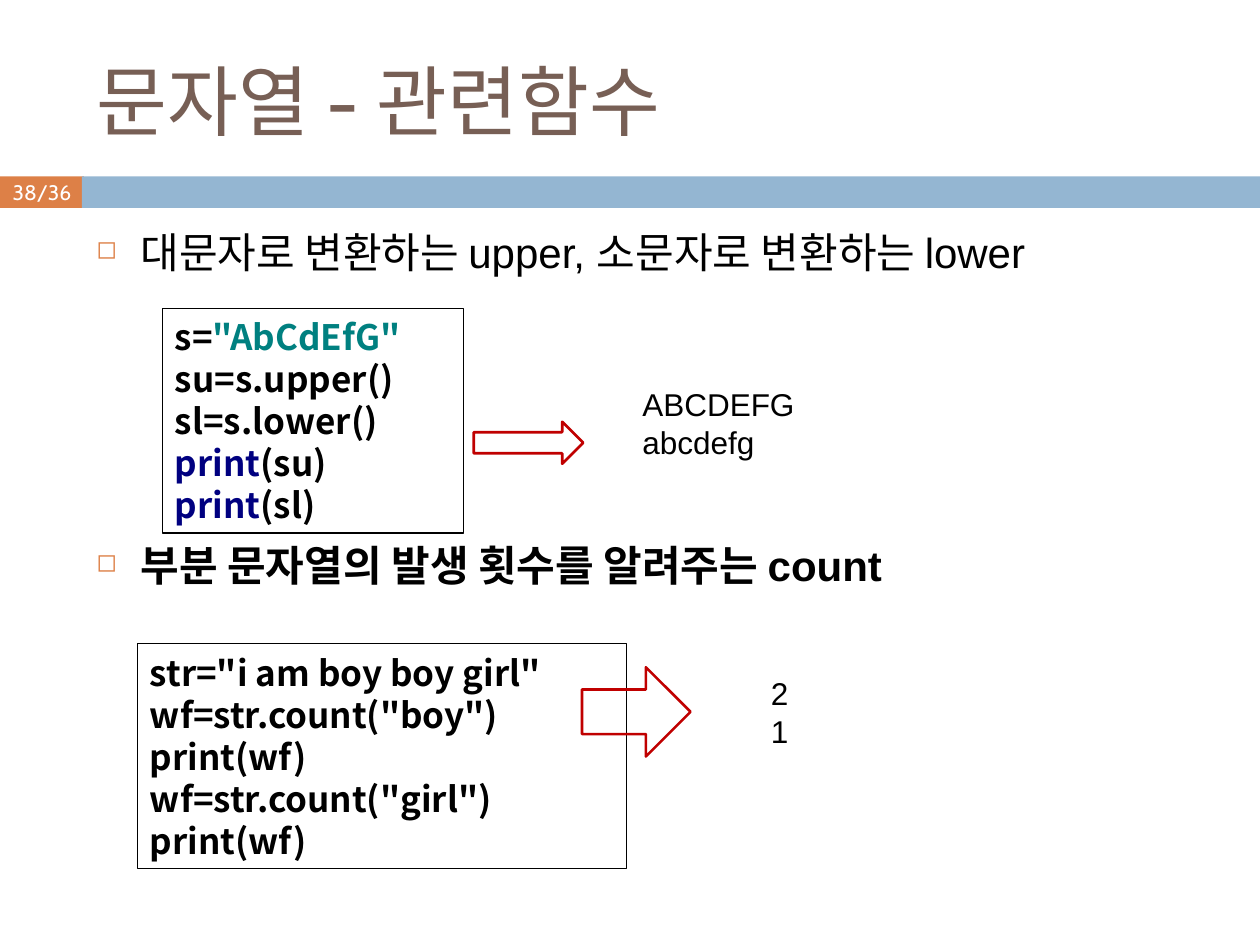
from lxml.etree import SubElement
from pptx import Presentation
from pptx.dml.color import RGBColor
from pptx.enum.shapes import MSO_SHAPE as Shape
from pptx.enum.text import MSO_ANCHOR as Anchor, PP_ALIGN as Align
from pptx.oxml.ns import qn
from pptx.util import Pt

THEME = {
    "latin": "Arial", "heading": "Cabin", "code": "Noto Sans CJK KR", "hangul": "Noto Sans CJK KR",
    "title_size": 44, "bullet_size": 24, "code_size": 20, "code_pitch": 24, "output_size": 18, "page_size": 12,
    "brown": "775F55", "orange": "DD8047", "blue": "94B6D2", "red": "C00000",
    "black": "000000", "white": "FFFFFF", "teal": "008080", "navy": "000080",
}

TITLE = "문자열 - 관련함수"
PAGE = "38/36"

# Code lines are lists of (text, colour) runs; boxes are left, top, width, height.
EXAMPLES = [
    {
        "heading": "대문자로 변환하는 upper, 소문자로 변환하는 lower",
        "bold": False,
        "heading_top": 126,
        "code": [
            [("s=", "black"), ('"AbCdEfG"', "teal")],
            [("su=s.upper()", "black")],
            [("sl=s.lower()", "black")],
            [("print", "navy"), ("(su)", "black")],
            [("print", "navy"), ("(sl)", "black")],
        ],
        "output": ["ABCDEFG", "abcdefg"],
        "code_box": (92.9, 176.4, 172, 128.2),
        "arrow_box": (270.7, 241, 62.6, 24),
        "output_box": (360, 216.7, 202, 51),
    },
    {
        "heading": "부분 문자열의 발생 횟수를 알려주는\u00a0count".replace("\u00a0", " "),
        "bold": True,
        "heading_top": 304.8,
        "code": [
            [('str="i am boy boy girl"', "black")],
            [('wf=str.count("boy")', "black")],
            [("print(wf)", "black")],
            [('wf=str.count("girl")', "black")],
            [("print(wf)", "black")],
        ],
        "output": ["2", "1"],
        "code_box": (78.5, 367.9, 279.4, 128.2),
        "arrow_box": (332.6, 381.3, 62, 51),
        "output_box": (433.4, 381.6, 208, 51),
    },
]


def points(box):
    return [Pt(value) for value in box]


def colour(name):
    return RGBColor.from_string(THEME[name])


def add_run(paragraph, text, font, size, ink, bold=False):
    run = paragraph.add_run()
    run.text = text
    formats = {"name": THEME[font], "size": Pt(THEME[size]), "bold": bold}
    for key, value in formats.items():
        setattr(run.font, key, value)
    run.font.color.rgb = colour(ink)
    SubElement(run.font._element, qn("a:ea"), typeface=THEME["hangul"])


def format_frame(frame, **formats):
    for key, value in {"word_wrap": True, **formats}.items():
        setattr(frame, key, value)


def add_panel(slide, kind, box, fill=None, line=None, width=0.75):
    panel = slide.shapes.add_shape(kind, *points(box))
    panel.shadow.inherit = False
    if fill:
        panel.fill.solid()
        panel.fill.fore_color.rgb = colour(fill)
    else:
        panel.fill.background()
    if line:
        panel.line.color.rgb = colour(line)
        panel.line.width = Pt(width)
    else:
        panel.line.fill.background()
    return panel


def write_lines(frame, lines, font, size, bold=False, pitch=None):
    for index, runs in enumerate(lines):
        paragraph = frame.paragraphs[0] if index == 0 else frame.add_paragraph()
        paragraph.alignment = Align.LEFT
        if pitch:
            paragraph.line_spacing = Pt(pitch)
        for text, ink in runs:
            add_run(paragraph, text, font, size, ink, bold)


def add_bullet(paragraph):
    properties = paragraph._p.get_or_add_pPr()
    properties.set("marL", str(Pt(25.2)))
    properties.set("indent", str(-Pt(25.2)))
    bullet_colour = SubElement(properties, qn("a:buClr"))
    SubElement(bullet_colour, qn("a:srgbClr"), val=THEME["orange"])
    SubElement(properties, qn("a:buSzPct"), val="60000")
    SubElement(properties, qn("a:buChar"), char="◻")


def add_header(slide):
    page = add_panel(slide, Shape.RECTANGLE, (0, 100.8, 48, 18), "orange")
    format_frame(page.text_frame, vertical_anchor=Anchor.MIDDLE, word_wrap=False,
                 margin_left=0, margin_right=0, margin_top=0, margin_bottom=0)
    number = page.text_frame.paragraphs[0]
    number.alignment = Align.CENTER
    add_run(number, PAGE, "heading", "page_size", "white")
    add_panel(slide, Shape.RECTANGLE, (46.8, 100.8, 673.2, 18), "blue")

    title = slide.shapes.title
    title.left, title.top, title.width, title.height = points((48, 18, 642, 78))
    format_frame(title.text_frame, vertical_anchor=Anchor.MIDDLE)
    write_lines(title.text_frame, [[(TITLE, "brown")]], "heading", "title_size")


def add_example(slide, example):
    heading = slide.shapes.add_textbox(*points((48, example["heading_top"], 642, 44)))
    format_frame(heading.text_frame)
    write_lines(heading.text_frame, [[(example["heading"], "black")]],
                "latin", "bullet_size", example["bold"])
    paragraph = heading.text_frame.paragraphs[0]
    paragraph.space_before = Pt(7)
    add_bullet(paragraph)

    code = add_panel(slide, Shape.RECTANGLE, example["code_box"], "white", "black")
    format_frame(code.text_frame, vertical_anchor=Anchor.MIDDLE)
    write_lines(code.text_frame, example["code"], "code", "code_size", True, THEME["code_pitch"])

    output = slide.shapes.add_textbox(*points(example["output_box"]))
    format_frame(output.text_frame)
    write_lines(output.text_frame, [[(line, "black")] for line in example["output"]],
                "latin", "output_size")
    add_panel(slide, Shape.RIGHT_ARROW, example["arrow_box"], line="red", width=1.5)


def main():
    deck = Presentation()
    deck.slide_width, deck.slide_height = Pt(720), Pt(540)
    slide = deck.slides.add_slide(deck.slide_layouts[5])
    add_header(slide)
    for example in EXAMPLES:
        add_example(slide, example)
    deck.save("out.pptx")


if __name__ == "__main__":
    main()
